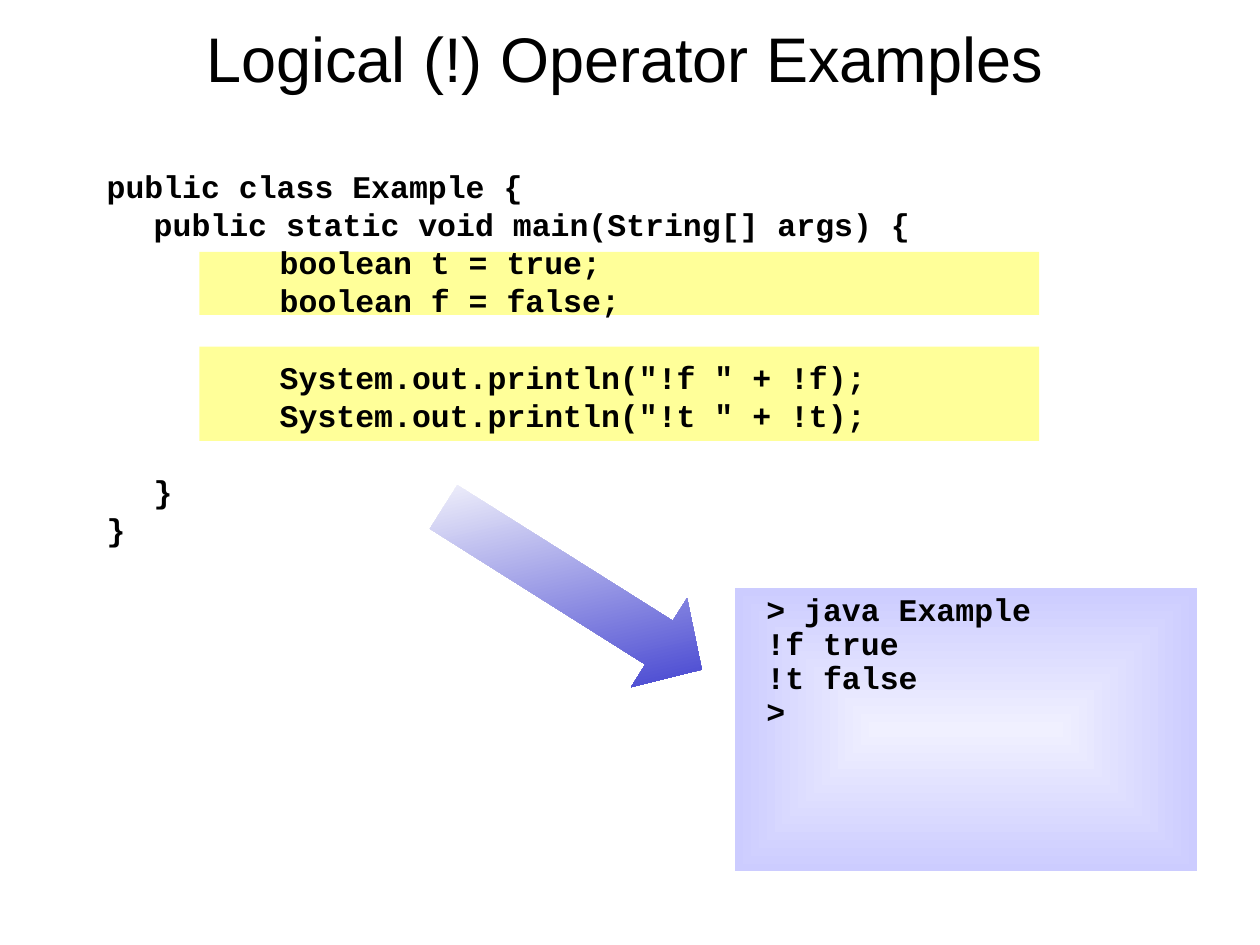
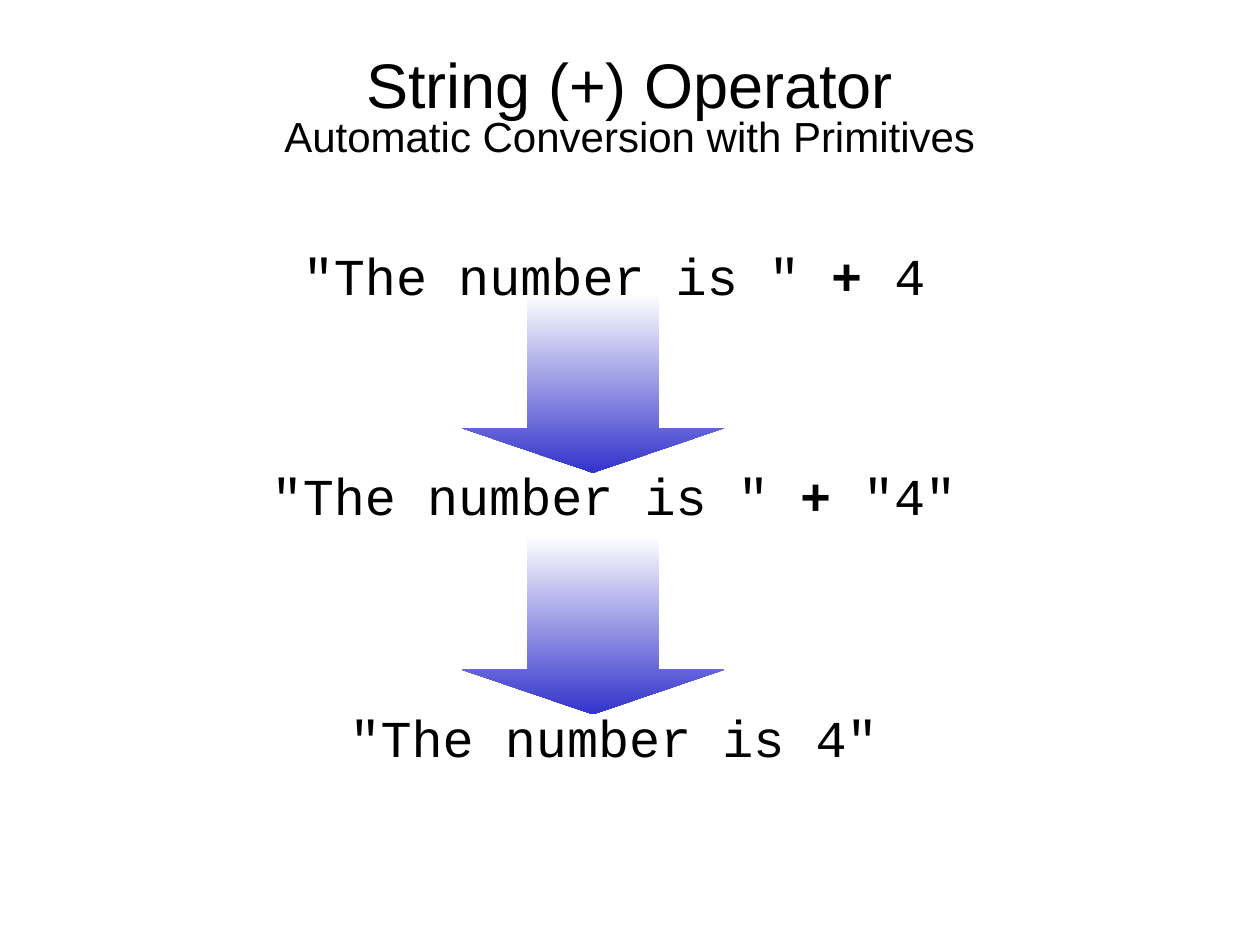
import lxml.etree
import pptx
import pptx.dml.color
import pptx.enum.shapes
import pptx.enum.text
import pptx.oxml.ns
import pptx.util

Cm = pptx.util.Cm
Pt = pptx.util.Pt
RGBColor = pptx.dml.color.RGBColor
SHAPE = pptx.enum.shapes.MSO_SHAPE
ALIGN = pptx.enum.text.PP_ALIGN
ANCHOR = pptx.enum.text.MSO_ANCHOR
qn = pptx.oxml.ns.qn

BLACK = RGBColor(0x00, 0x00, 0x00)
WHITE = RGBColor(0xFF, 0xFF, 0xFF)
BLUE = RGBColor(0x33, 0x33, 0xCC)
YELLOW = RGBColor(0xFF, 0xFF, 0x99)
PALE = RGBColor(0xF0, 0xF0, 0xFF)
LILAC = RGBColor(0xCC, 0xCC, 0xFF)

SANS = "Arial"
MONO = "Courier New"
INSET = 0.25
LEVELS = (0, 0.95, 3.49)
CODE_GAP = 4.5
BLANK_GAP = 26.3  # gap that leaves one line empty

CODE = [
    (0, CODE_GAP, "public class Example {"),
    (1, CODE_GAP, "public static void main(String[] args) {"),
    (2, CODE_GAP, "boolean t = true;"),
    (2, CODE_GAP, "boolean f = false;"),
    (2, BLANK_GAP, 'System.out.println("!f " + !f);'),
    (2, CODE_GAP, 'System.out.println("!t " + !t);'),
    (1, BLANK_GAP, "}"),
    (0, CODE_GAP, "}"),
]
OUTPUT = ["> java Example", "!f true", "!t false", ">"]
STEPS = [
    (4.66, ['"The number is "', (" + ", {"bold": True}), "4"]),
    (9.1, ['"The number is " ', ("+", {"bold": True}), ' "4"']),
    (13.97, ['"The number is 4"']),
]


def write(para, text, size=18, font=SANS, bold=False, align=ALIGN.LEFT,
          lead=None, before=0, indent=0):
    """Fill a paragraph with a string, or a list of strings and (string, changes)."""
    para.alignment = align
    para.line_spacing = lead
    para.space_before = Pt(before)
    para._p.get_or_add_pPr().set("marL", str(Cm(indent)))
    for part in [text] if isinstance(text, str) else text:
        if part == "\n":
            para.add_line_break()
            continue
        words, change = (part, {}) if isinstance(part, str) else part
        run = para.add_run()
        run.text = words
        run.font.name = font
        run.font.size = Pt(change.get("size", size))
        run.font.bold = change.get("bold", bold)
        run.font.color.rgb = BLACK


def write_lines(frame, lines, **style):
    """Write one paragraph for each (text, changes) pair."""
    for i, (text, change) in enumerate(lines):
        para = frame.add_paragraph() if i else frame.paragraphs[0]
        write(para, text, **{**style, **change})


def add_text(slide, box, lines, anchor=ANCHOR.TOP, **style):
    frame = slide.shapes.add_textbox(*map(Cm, box)).text_frame
    frame.word_wrap = True
    frame.vertical_anchor = anchor
    write_lines(frame, lines, **style)


def add_block(slide, kind, box):
    """Add a preset shape without line or shadow."""
    shape = slide.shapes.add_shape(kind, *map(Cm, box))
    shape.shadow.inherit = False
    shape.line.fill.background()
    return shape


def shade(shape, first, last, angle):
    """Set a two-colour gradient; the angle runs clockwise."""
    shape.fill.gradient()
    shape.fill.gradient_angle = 360 - angle
    for stop, colour in zip(shape.fill.gradient_stops, (first, last)):
        stop.color.rgb = colour


def shade_out(shape, inner, outer):
    """Set a gradient that spreads from the centre to the edges."""
    shade(shape, inner, outer, 90)
    grad = shape._element.spPr.find(qn("a:gradFill"))
    grad.remove(grad.find(qn("a:lin")))
    spread = lxml.etree.SubElement(grad, qn("a:path"), {"path": "rect"})
    sides = {side: "50000" for side in "ltrb"}
    lxml.etree.SubElement(spread, qn("a:fillToRect"), sides)


def add_arrow(slide, kind, box, angle, adjust, turn=0):
    arrow = add_block(slide, kind, box)
    for i, value in enumerate(adjust):
        arrow.adjustments[i] = value
    arrow.rotation = turn
    shade(arrow, WHITE, BLUE, angle)


def add_title(slide, box, text, lead=None):
    add_text(slide, box, [(text, {})], anchor=ANCHOR.MIDDLE, size=36,
             align=ALIGN.CENTER, lead=lead)


def add_code(slide, box):
    """Place the program with two bands behind its main lines."""
    left, top = box[:2]
    for down, height in ((1.69, 1.27), (3.6, 1.9)):
        band = add_block(slide, SHAPE.RECTANGLE,
                         (left + 2.12, top + down, 16.93, height))
        band.fill.solid()
        band.fill.fore_color.rgb = YELLOW
    lines = [(text, {"indent": LEVELS[level], "before": gap})
             for level, gap, text in CODE]
    add_text(slide, box, lines, font=MONO, bold=True, lead=0.8)


def add_output(slide, box):
    panel = add_block(slide, SHAPE.RECTANGLE, box)
    shade_out(panel, PALE, LILAC)
    frame = panel.text_frame
    frame.word_wrap = True
    frame.vertical_anchor = ANCHOR.TOP
    frame.margin_left = Cm(INSET + 0.38)
    write_lines(frame, [(line, {}) for line in OUTPUT],
                font=MONO, bold=True, lead=0.9)


def add_steps(slide, box):
    """Place the rows of the conversion, with an arrow down to each next row."""
    left, top, width, height = box
    long, wide = 3.6, 5.29
    for down, _ in STEPS[1:]:
        tip = top + down + 0.43
        add_arrow(slide, SHAPE.DOWN_ARROW, (left + 7.83, tip - long, wide, long),
                  90, (0.5, 0.25))
    for down, text in STEPS:
        add_text(slide, (left, top + down, width, height), [(text, {})],
                 size=29.6, font=MONO, align=ALIGN.CENTER, lead=1.1, before=8)


def logic_slide(slide):
    add_title(slide, (1.06, 0.42, 23.07, 1.48), "Logical (!) Operator Examples")
    add_arrow(slide, SHAPE.RIGHT_ARROW, (8.47, 10.8, 6.15, 2.12), 45,
              (0.49, 0.48), turn=32.2)
    add_code(slide, (1.9, 3.39, 19.47, 8.47))
    add_output(slide, (14.82, 11.85, 9.31, 5.72))


def string_slide(slide):
    add_title(slide, (1.9, 1.06, 21.59, 2.33),
              ["String (+) Operator", "\n",
               ("Automatic Conversion with Primitives", {"size": 24})], lead=0.8)
    add_steps(slide, (1.48, 0, 21.8, 1.69))


def main():
    deck = pptx.Presentation()
    deck.slide_width = Cm(25.4)
    deck.slide_height = Cm(19.05)
    for build in (logic_slide, string_slide):
        build(deck.slides.add_slide(deck.slide_layouts[6]))
    deck.save("out.pptx")


if __name__ == "__main__":
    main()
